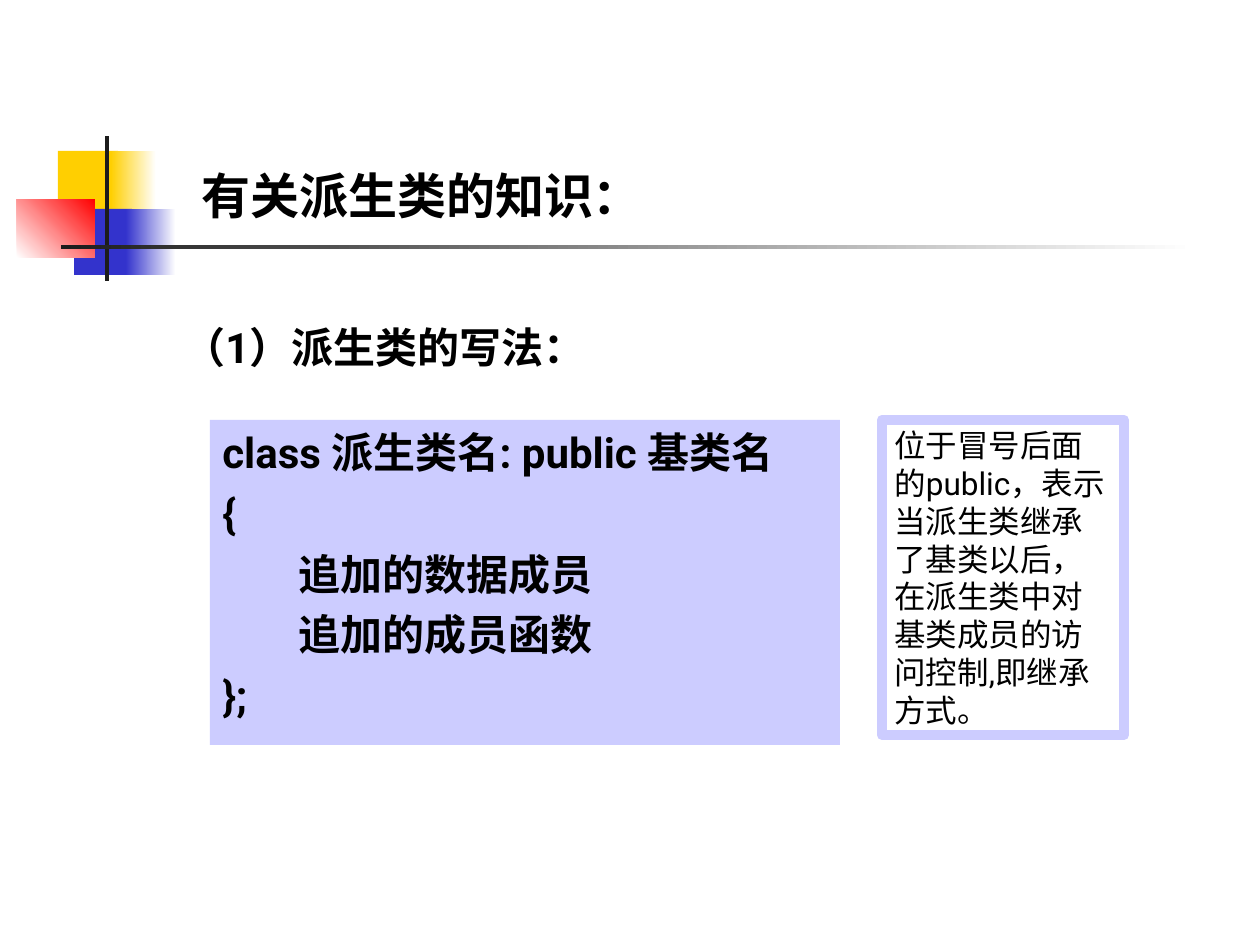
from lxml.etree import SubElement
from pptx import Presentation
from pptx.dml.color import RGBColor
from pptx.enum.shapes import MSO_SHAPE
from pptx.enum.text import MSO_ANCHOR, MSO_AUTO_SIZE, PP_ALIGN
from pptx.oxml.ns import qn
from pptx.util import Inches, Pt

PX = Inches(1) / 126
LATIN_FONT = "Roboto"
ASIAN_FONT = "Noto Sans CJK SC"
COLORS = {
    "white": "FFFFFF",
    "black": "000000",
    "charcoal": "1C1C1C",
    "yellow": "FFCF01",
    "blue": "3333CC",
    "red": "FF0000",
    "lavender": "CCCCFF",
}
ORNAMENTS = [
    ((58, 151, 60, 66), ["yellow"], 0),
    ((111, 151, 45, 66), ["yellow", "white"], 0),
    ((74, 209, 58, 66), ["blue"], 0),
    ((126, 209, 50, 66), ["blue", "white"], 0),
    ((17, 199, 78, 59), ["white", "red"], 45),
    ((105, 136, 4, 145), ["charcoal"], 0),
    ((61, 245, 1134, 4), ["charcoal", "white"], 0),
]
CODE_LINES = [
    "class 派生类名: public 基类名",
    "{",
    "        追加的数据成员",
    "        追加的成员函数",
    "};",
]
NOTE = "位于冒号后面的public，表示当派生类继承了基类以后，在派生类中对基类成员的访问控制,即继承方式。"


def scale(box):
    """Turn pixel lengths into EMU."""
    return [round(length * PX) for length in box]


def color(name):
    """Return a named colour."""
    return RGBColor.from_string(COLORS[name])


def add_rectangle(slide, box, fills=(), angle=0):
    """Add a rectangle with no fill, a solid fill or a two-colour gradient."""
    shape = slide.shapes.add_shape(MSO_SHAPE.RECTANGLE, *scale(box))
    shape.shadow.inherit = False
    shape.line.fill.background()
    if len(fills) == 2:
        shape.fill.gradient()
        shape.fill.gradient_angle = angle
        for stop, name in zip(shape.fill.gradient_stops, fills):
            stop.color.rgb = color(name)
    elif fills:
        shape.fill.solid()
        shape.fill.fore_color.rgb = color(fills[0])
    else:
        shape.fill.background()
    return shape


def write_text(shape, lines, size, bold=True, anchor=MSO_ANCHOR.TOP,
               wrap=True, fit=MSO_AUTO_SIZE.NONE, gap=0):
    """Fill a shape with left-aligned paragraphs in the slide fonts."""
    frame = shape.text_frame
    frame.text = "\n".join(lines)
    frame.word_wrap = wrap
    frame.auto_size = fit
    frame.vertical_anchor = anchor
    for index, paragraph in enumerate(frame.paragraphs):
        paragraph.alignment = PP_ALIGN.LEFT
        paragraph.space_before = Pt(gap if index else 0)
        for run in paragraph.runs:
            run.font.size = Pt(size)
            run.font.bold = bold
            run.font.color.rgb = color("black")
            run.font.name = LATIN_FONT
            SubElement(run.font._element, qn("a:ea"), typeface=ASIAN_FONT)


def add_title(slide):
    """Place and format the title."""
    title = slide.shapes.title
    title.left, title.top, title.width, title.height = scale((189, 147, 483, 84))
    write_text(title, ["有关派生类的知识："], 28, anchor=MSO_ANCHOR.BOTTOM)


def add_heading(slide):
    """Add the numbered heading above the code."""
    heading = slide.shapes.add_textbox(*scale((171, 315, 447, 63)))
    write_text(heading, ["（1）派生类的写法："], 24, wrap=False,
               fit=MSO_AUTO_SIZE.SHAPE_TO_FIT_TEXT)


def add_note(slide):
    """Add the framed note beside the code."""
    note = add_rectangle(slide, (882, 420, 242, 315))
    note.line.color.rgb = color("lavender")
    note.line.width = Pt(6)
    write_text(note, [NOTE], 18, bold=False, fit=MSO_AUTO_SIZE.SHAPE_TO_FIT_TEXT)


def main():
    """Build and save the slide."""
    presentation = Presentation()
    presentation.slide_width, presentation.slide_height = scale((1260, 945))
    slide = presentation.slides.add_slide(presentation.slide_layouts[5])
    for box, fills, angle in ORNAMENTS:
        add_rectangle(slide, box, fills, angle)
    add_title(slide)
    code = add_rectangle(slide, (210, 420, 630, 325), ["lavender"])
    write_text(code, CODE_LINES, 24, gap=6)
    add_heading(slide)
    add_note(slide)
    presentation.save("out.pptx")


if __name__ == "__main__":
    main()
